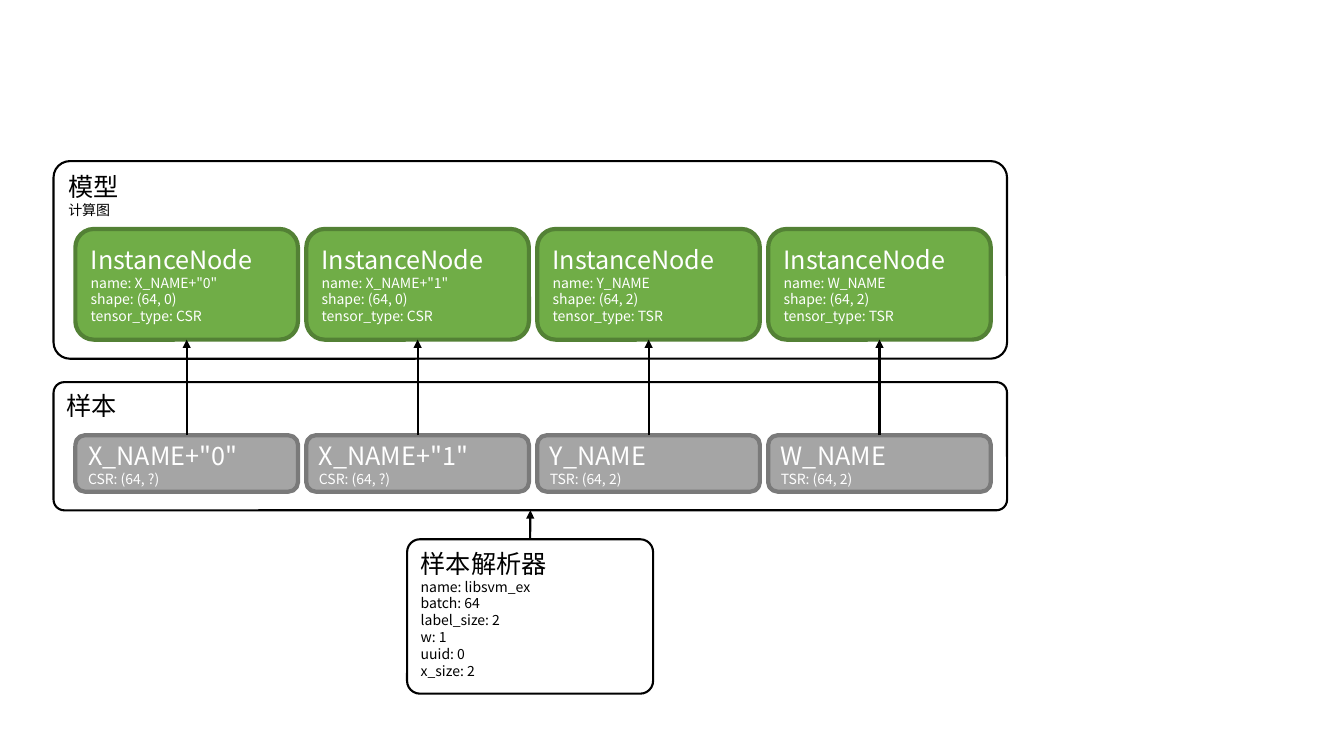
import pptx
import pptx.util
import pptx.dml.color
import pptx.enum.shapes
import pptx.enum.text
import pptx.oxml.ns
import lxml.etree

Cm = pptx.util.Cm
Pt = pptx.util.Pt
RGBColor = pptx.dml.color.RGBColor

BLACK = RGBColor(0x00, 0x00, 0x00)
WHITE = RGBColor(0xFF, 0xFF, 0xFF)
GREEN = RGBColor(0x70, 0xAD, 0x47)
MOSS = RGBColor(0x53, 0x81, 0x35)
GREY = RGBColor(0xA5, 0xA5, 0xA5)
SLATE = RGBColor(0x7A, 0x7A, 0x7A)

FONT = "Noto Sans CJK SC"
HEAD, BODY = 18, 10
LEFT, STEP, WIDTH = 1.9, 5.82, 5.61

# key, sample kind, sample shape, node shape
INPUTS = [
    ('X_NAME+"0"', "CSR", "(64, ?)", "(64, 0)"),
    ('X_NAME+"1"', "CSR", "(64, ?)", "(64, 0)"),
    ("Y_NAME", "TSR", "(64, 2)", "(64, 2)"),
    ("W_NAME", "TSR", "(64, 2)", "(64, 2)"),
]


def add_tag(parent, name, **attrs):
    return lxml.etree.SubElement(parent, pptx.oxml.ns.qn(name), attrs)


def write(frame, lines, color):
    """Set a large first line and small lines below it."""
    frame.word_wrap = True
    frame.text = "\n".join(lines)
    for row, para in enumerate(frame.paragraphs):
        size = BODY if row else HEAD
        para.alignment = pptx.enum.text.PP_ALIGN.LEFT
        para.line_spacing = Pt(size * 1.2)
        for run in para.runs:
            run.font.name = FONT
            run.font.size = Pt(size)
            run.font.color.rgb = color
            add_tag(run.font._element, "a:ea", typeface=FONT)


def add_box(slide, place, lines, edge, weight, ink):
    kind = pptx.enum.shapes.MSO_SHAPE.ROUNDED_RECTANGLE
    box = slide.shapes.add_shape(kind, *[Cm(side) for side in place])
    box.shadow.inherit = False
    box.line.color.rgb = edge
    box.line.width = Pt(weight)
    write(box.text_frame, lines, ink)
    return box


def add_panel(slide, place, lines):
    """Add an unfilled frame with its text at the top."""
    panel = add_box(slide, place, lines, BLACK, 1.5, BLACK)
    panel.adjustments[0] = 0.083
    panel.fill.background()
    panel.text_frame.vertical_anchor = pptx.enum.text.MSO_ANCHOR.TOP
    return panel


def add_card(slide, place, lines, fill, edge):
    """Add a filled box with its text in the middle."""
    card = add_box(slide, place, lines, edge, 3, WHITE)
    card.fill.solid()
    card.fill.fore_color.rgb = fill
    card.text_frame.vertical_anchor = pptx.enum.text.MSO_ANCHOR.MIDDLE
    return card


def add_arrow(slide, low, high):
    """Join the top of the low box to the bottom of the high one."""
    kind = pptx.enum.shapes.MSO_CONNECTOR.STRAIGHT
    arrow = slide.shapes.add_connector(kind, 0, 0, 0, 0)
    arrow.begin_connect(low, 0)
    arrow.end_connect(high, 2)
    arrow.line.color.rgb = BLACK
    arrow.line.width = Pt(1.5)
    add_tag(arrow.line._get_or_add_ln(), "a:tailEnd", type="triangle")
    add_tag(arrow._element.spPr, "a:effectLst")


def main():
    deck = pptx.Presentation()
    deck.slide_width = Cm(33.87)
    deck.slide_height = Cm(19.05)
    slide = deck.slides.add_slide(deck.slide_layouts[6])

    add_panel(slide, (1.35, 4.06, 24.03, 4.98), ["模型", "计算图"])
    sample = add_panel(slide, (1.35, 9.63, 24.03, 3.23), ["样本"])
    parser = add_panel(slide, (10.26, 13.59, 6.2, 3.89), [
        "样本解析器", "name: libsvm_ex", "batch: 64", "label_size: 2",
        "w: 1", "uuid: 0", "x_size: 2",
    ])
    add_arrow(slide, parser, sample)

    for col, (key, kind, size, shape) in enumerate(INPUTS):
        left = LEFT + col * STEP
        data = add_card(slide, (left, 10.97, WIDTH, 1.42),
                        [key, f"{kind}: {size}"], GREY, SLATE)
        node = add_card(slide, (left, 5.77, WIDTH, 2.79), [
            "InstanceNode", f"name: {key}", f"shape: {shape}",
            f"tensor_type: {kind}",
        ], GREEN, MOSS)
        add_arrow(slide, data, node)

    deck.save("out.pptx")


if __name__ == "__main__":
    main()
